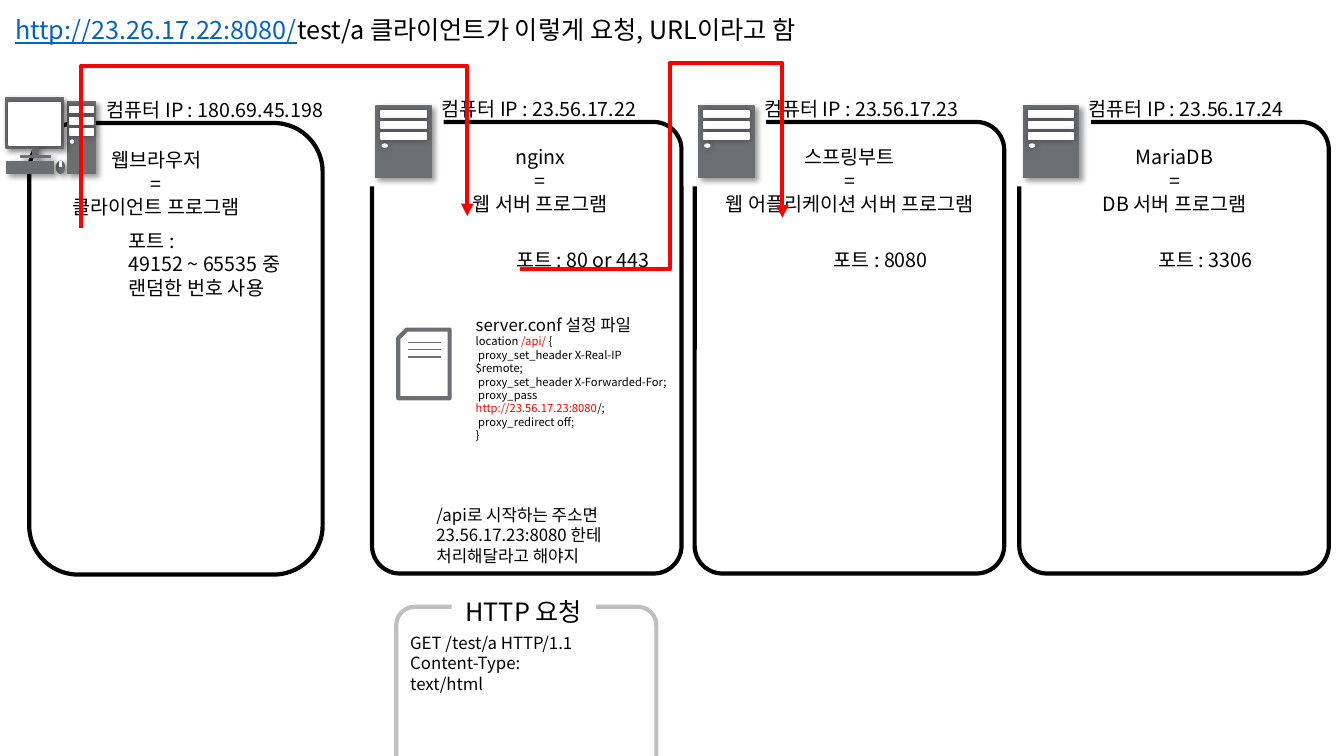
from lxml.etree import SubElement
from pptx import Presentation
from pptx.dml.color import RGBColor
from pptx.enum.shapes import MSO_CONNECTOR, MSO_SHAPE
from pptx.enum.text import MSO_ANCHOR, MSO_AUTO_SIZE, PP_ALIGN
from pptx.oxml.ns import qn
from pptx.util import Inches, Pt

FONT = "Noto Sans CJK KR"
COLORS = {"black": "000000", "white": "FFFFFF", "grey": "6D6E72", "silver": "BFBFBF",
          "red": "FF0000", "link": "0563C1", "outline": "595959"}
BODY_SHADOW = (4, 3, 45)  # blur and distance in points, direction in degrees
GLOW_SHADOW = (5, 0, 0)


def color(name):
    return RGBColor.from_string(COLORS[name])


def add_color(parent, name, percent):
    fill = SubElement(parent, qn("a:solidFill"))
    tint = SubElement(fill, qn("a:srgbClr"), val=COLORS[name])
    SubElement(tint, qn("a:alpha"), val=str(percent * 1000))
    return fill


def add_effects(shape, shadow=None):
    effects = SubElement(shape._element.spPr, qn("a:effectLst"))
    if shadow:
        blur, distance, direction = shadow
        outer = SubElement(effects, qn("a:outerShdw"), blurRad=str(Pt(blur)), dist=str(Pt(distance)),
                           dir=str(direction * 60000), algn="ctr", rotWithShape="0")
        outer.append(add_color(outer, "black", 40)[0])
        outer.remove(outer[0])


def add_block(shapes, kind, box, fill=None, line=None, weight=1, shadow=None):
    shape = shapes.add_shape(kind, *map(Inches, box))
    if fill:
        shape.fill.solid()
        shape.fill.fore_color.rgb = color(fill)
    else:
        shape.fill.background()
    if line:
        shape.line.color.rgb = color(line)
        shape.line.width = Pt(weight)
    else:
        shape.line.fill.background()
    add_effects(shape, shadow)
    return shape


def add_line(shapes, start, end, line, weight, kind=MSO_CONNECTOR.STRAIGHT, shadow=None):
    connector = shapes.add_connector(kind, *map(Inches, start + end))
    connector.line.color.rgb = color(line)
    connector.line.width = Pt(weight)
    add_effects(connector, shadow)
    return connector


def format_run(run, size, name, outlined=False):
    run.font.size = Pt(size)
    run.font.name = FONT
    run.font.color.rgb = color(name)
    properties = run._r.get_or_add_rPr()
    SubElement(properties, qn("a:ea"), typeface=FONT)
    if outlined:
        line = SubElement(properties, qn("a:ln"), w=str(Pt(0.75)))
        add_color(line, "outline", 30)
        properties.insert(0, line)


def write(text_frame, lines, size, accent="red", align=PP_ALIGN.LEFT, outlined=False):
    """Fill the frame; a bar in a line switches the accent colour on or off."""
    text_frame.text = "\n".join(line.replace("|", "") for line in lines)
    for paragraph, line in zip(text_frame.paragraphs, lines):
        paragraph.alignment = align
        pieces = line.split("|")
        if len(pieces) > 1:
            paragraph.text = ""
            for piece in filter(None, pieces):
                paragraph.add_run().text = piece
        accents = {piece for piece in pieces[1::2]}
        for run in paragraph.runs:
            format_run(run, size, accent if run.text in accents else "black", outlined)


def add_text(shapes, box, lines, size=14, wrap=False, **style):
    text_box = shapes.add_textbox(*map(Inches, box))
    text_box.text_frame.word_wrap = wrap
    text_box.text_frame.auto_size = MSO_AUTO_SIZE.SHAPE_TO_FIT_TEXT
    write(text_box.text_frame, lines, size, **style)
    return text_box


def add_program(shapes, center, top, width, lines):
    add_text(shapes, (center - width / 2, top, width, 0.81), lines,
             align=PP_ALIGN.CENTER, outlined=True)


def add_tower(shapes, left, top, width, inset, dot):
    add_block(shapes, MSO_SHAPE.RECTANGLE, (left, top, width, 0.71), "grey", "grey", shadow=BODY_SHADOW)
    for row in range(3):
        add_block(shapes, MSO_SHAPE.RECTANGLE,
                  (left + inset, top + 0.05 + row * 0.11, width - 2 * inset, 0.06),
                  "white", "white", shadow=GLOW_SHADOW)
    add_block(shapes, MSO_SHAPE.OVAL, (left + inset + 0.01, top + 0.38, dot, 0.03),
              "white", "white", shadow=GLOW_SHADOW)


def add_desktop(shapes, left, top):
    icon = shapes.add_group_shape().shapes
    add_block(icon, MSO_SHAPE.OVAL, (left + 0.5, top + 0.63, 0.08, 0.12), "grey", "grey", shadow=BODY_SHADOW)
    add_tower(icon, left + 0.61, top + 0.04, 0.28, 0.02, 0.03)
    # Monitor, stand, foot and keyboard
    for x, y, width, height in [(0, 0, 0.57, 0.5), (0.26, 0.48, 0.06, 0.11),
                                (0.15, 0.57, 0.29, 0.02), (0.01, 0.63, 0.46, 0.12)]:
        add_block(icon, MSO_SHAPE.RECTANGLE, (left + x, top + y, width, height),
                  "grey", "grey", shadow=BODY_SHADOW)
    add_block(icon, MSO_SHAPE.RECTANGLE, (left + 0.03, top + 0.05, 0.51, 0.42),
              "white", "white", shadow=GLOW_SHADOW)
    add_line(icon, (left + 0.54, top + 0.69), (left + 0.54, top + 0.63), "white", 1.5, shadow=GLOW_SHADOW)


def add_client(shapes, left, top):
    add_block(shapes, MSO_SHAPE.ROUNDED_RECTANGLE, (left, top, 2.91, 4.48), line="black", weight=3)
    add_program(shapes, left + 1.26, top + 0.2, 2.04, ["웹브라우저", " = ", "클라이언트 프로그램"])
    add_desktop(shapes, left - 0.23, top - 0.25)
    add_text(shapes, (left + 0.67, top - 0.3, 2.42, 0.34), ["컴퓨터 IP : 180.69.45.198"])
    add_text(shapes, (left + 0.89, top + 1, 1.9, 0.81), ["포트 :", "49152 ~ 65535 중", "랜덤한 번호 사용"])


def add_server(shapes, left, top, address, program, port):
    group = shapes.add_group_shape().shapes
    frame = add_block(group, MSO_SHAPE.ROUNDED_RECTANGLE, (left, top, 3.07, 4.48), line="black", weight=3)
    frame.adjustments[0] = 0.09
    add_block(group, MSO_SHAPE.RECTANGLE, (left - 0.11, top - 0.21, 0.82, 0.85), "white")
    add_tower(group, left + 0.04, top - 0.16, 0.55, 0.05, 0.05)
    add_text(shapes, (left + 0.59, top - 0.3, 2.21, 0.34), [f"컴퓨터 IP : {address}"])
    name, role, offset, width = program
    add_program(shapes, left + offset, top + 0.18, width, [name, "=", role])
    number, offset, width = port
    add_text(shapes, (left + offset, top + 1.2, width, 0.34), [f"포트 : {number}"])


def add_configuration(shapes, left, top):
    icon = shapes.add_group_shape().shapes
    page = add_block(icon, MSO_SHAPE.SNIP_1_RECTANGLE, (left, top, 0.51, 0.68), "white", "grey", 3)
    page._element.spPr.get_or_add_xfrm().set("flipH", "1")
    for row in range(3):
        y = top + 0.13 + row * 0.07
        add_line(icon, (left + 0.1, y), (left + 0.42, y), "grey", 1)
    listing = add_text(shapes, (left + 0.67, top - 0.2, 2.11, 1.11), [
        "server.conf 설정 파일", "location |/api/| {", " proxy_set_header X-Real-IP $remote;",
        " proxy_set_header X-Forwarded-For;", " proxy_pass |http://23.56.17.23:8080|/;",
        " proxy_redirect off;", "}"], size=8, wrap=True)
    for run in listing.text_frame.paragraphs[0].runs:
        run.font.size = Pt(12)
    add_text(shapes, (left + 0.28, top + 1.69, 1.97, 0.71),
             ["/api로 시작하는 주소면", "23.56.17.23:8080 한테", "처리해달라고 해야지"], size=12)


def add_request(shapes, left, top):
    group = shapes.add_group_shape().shapes
    frame = add_block(group, MSO_SHAPE.ROUNDED_RECTANGLE, (left, top, 2.58, 2.02), line="silver", weight=3)
    frame.adjustments[0] = 0.09
    label = add_block(group, MSO_SHAPE.RECTANGLE, (left + 0.55, top - 0.13, 1.43, 0.35), "white")
    label.text_frame.vertical_anchor = MSO_ANCHOR.MIDDLE
    write(label.text_frame, ["HTTP 요청"], 18, align=PP_ALIGN.CENTER)
    add_text(group, (left + 0.04, top + 0.21, 2.01, 0.5),
             ["GET /test/a HTTP/1.1", "Content-Type: text/html"], size=12, wrap=True)


def add_route(shapes, start, end, preset, bends, turn=0):
    connector = add_line(shapes, start, end, "red", 3, MSO_CONNECTOR.ELBOW)
    properties = connector._element.spPr
    properties.xfrm.set("rot", str(turn * 60000))
    geometry = properties.find(qn("a:prstGeom"))
    geometry.set("prst", preset)
    guides = geometry.find(qn("a:avLst"))
    for number, bend in enumerate(bends, 1):
        SubElement(guides, qn("a:gd"), name=f"adj{number}", fmla=f"val {round(bend * 100000)}")
    SubElement(properties.find(qn("a:ln")), qn("a:tailEnd"), type="triangle")


def add_title(slide, box):
    title = slide.shapes.title
    title.left, title.top, title.width, title.height = map(Inches, box)
    title.text_frame.vertical_anchor = MSO_ANCHOR.TOP
    title.text_frame.word_wrap = True
    title.text_frame.auto_size = MSO_AUTO_SIZE.SHAPE_TO_FIT_TEXT
    write(title.text_frame, ["|http://23.26.17.22:8080/|test/a 클라이언트가 이렇게 요청, URL이라고 함"],
          18, accent="link")
    title.text_frame.paragraphs[0].runs[0].font.underline = True


def main():
    presentation = Presentation()
    presentation.slide_width, presentation.slide_height = Inches(13.33), Inches(7.5)
    slide = presentation.slides.add_slide(presentation.slide_layouts[5])
    shapes = slide.shapes
    add_title(slide, (0.05, 0.09, 8.31, 0.4))
    add_client(shapes, 0.29, 1.22)
    servers = [
        (3.69, "23.56.17.22", ("nginx", "웹 서버 프로그램", 1.67, 1.71), ("80 or 443", 1.33, 1.64)),
        (6.89, "23.56.17.23", ("스프링부트", "웹 어플리케이션 서버 프로그램", 1.54, 2.96), ("8080", 1.28, 1.21)),
        (10.11, "23.56.17.24", ("MariaDB", "DB 서버 프로그램", 1.54, 1.77), ("3306", 1.28, 1.21)),
    ]
    for left, address, program, port in servers:
        add_server(shapes, left, 1.21, address, program, port)
    add_configuration(shapes, 3.95, 3.27)
    add_request(shapes, 3.93, 6.02)
    # Request path: client to web server, web server to application server
    add_route(shapes, (2.78, 4.12), (2.66, 0.29), "bentConnector3", [13.43], turn=90)
    add_route(shapes, (5.16, 2.67), (7.76, 2.16), "bentConnector4", [0.57, 4.01])
    presentation.save("out.pptx")


if __name__ == "__main__":
    main()
